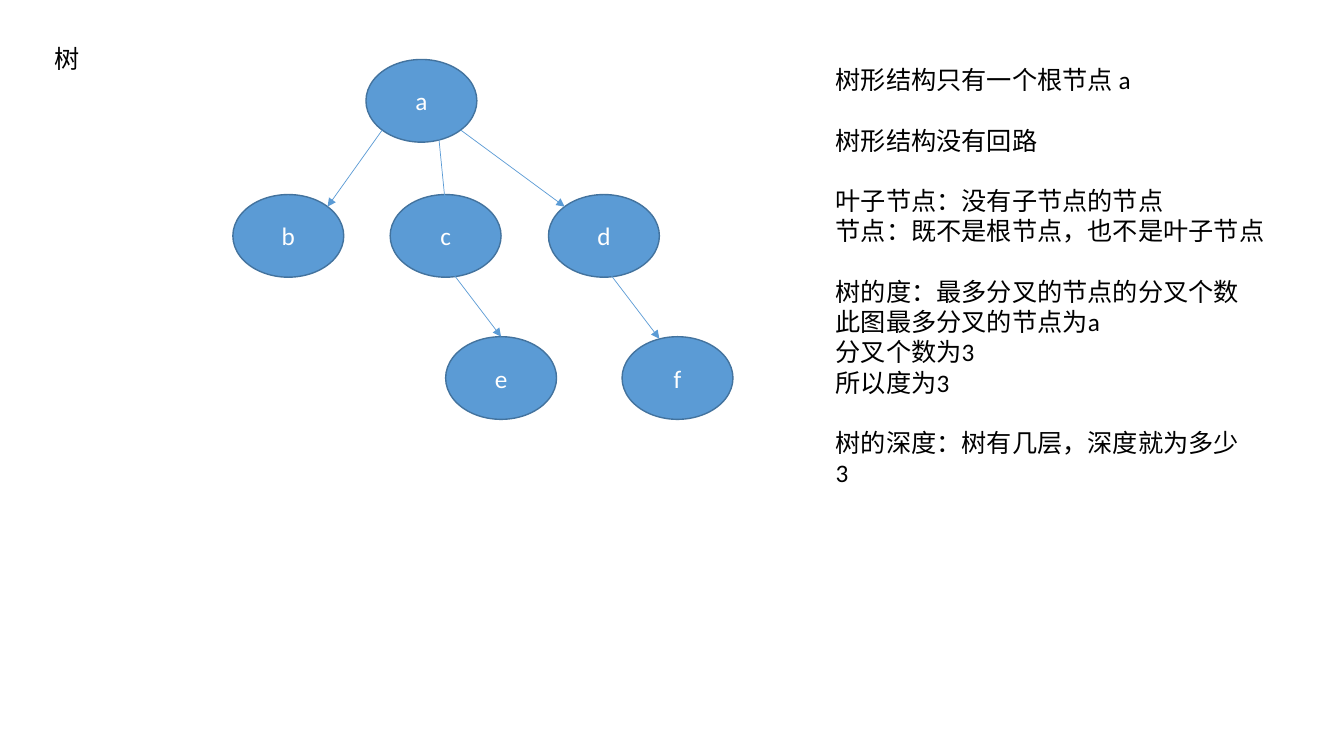
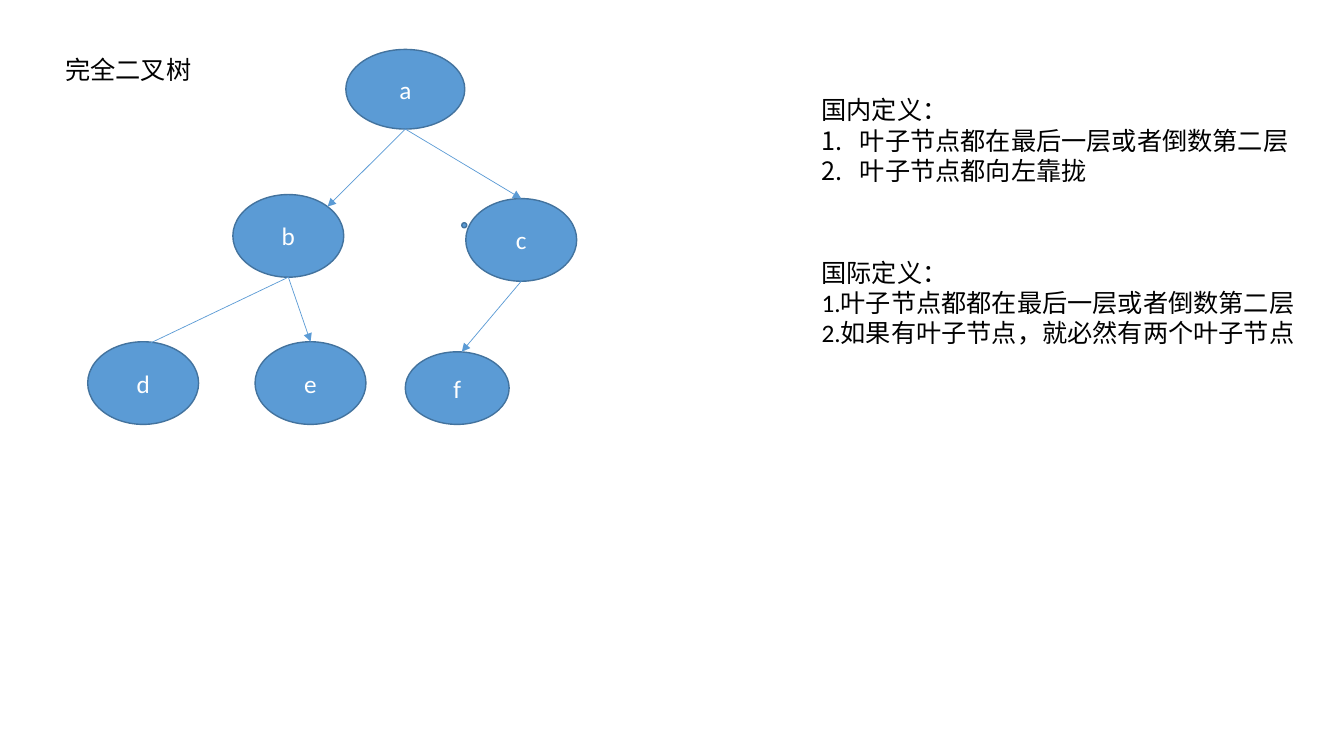
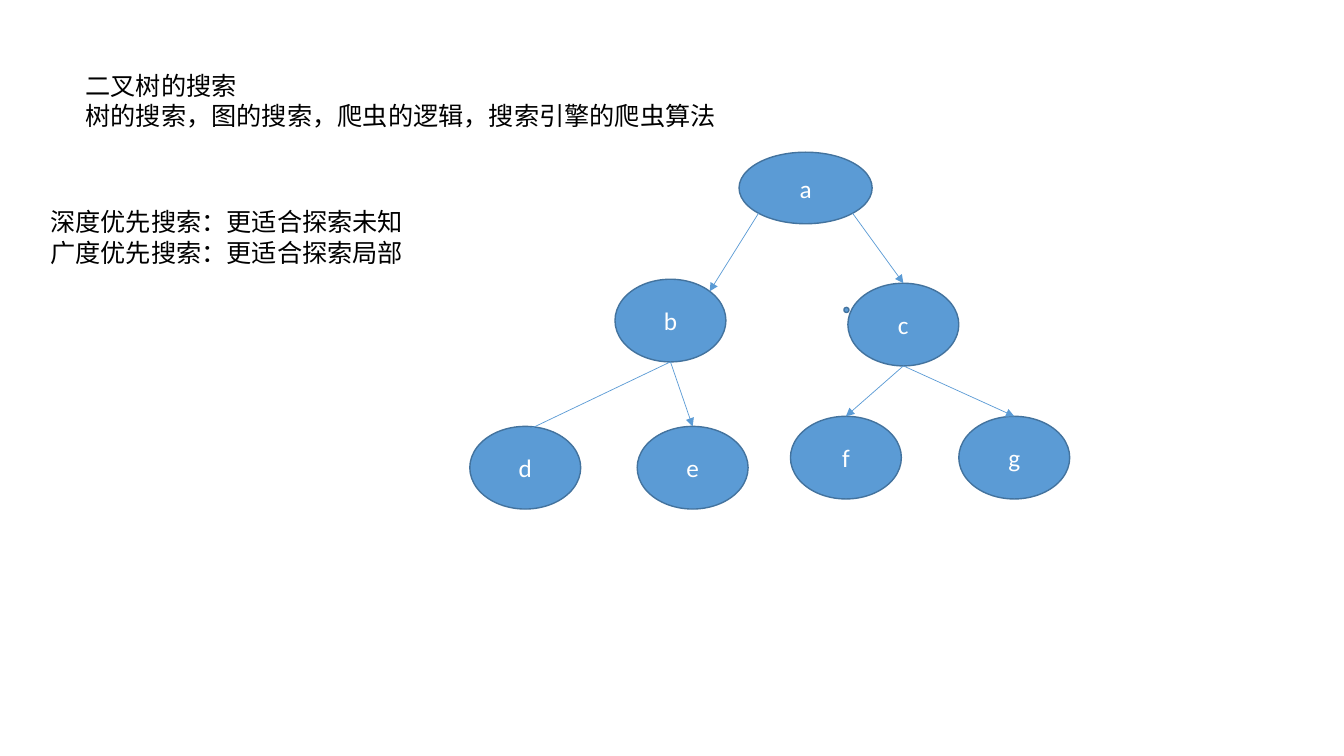
from math import cos, pi, sin

from pptx import Presentation, util as u
from pptx.dml.color import RGBColor
from pptx.enum import lang, shapes, text
from pptx.oxml.ns import qn
from lxml import etree

BLUE, EDGE, WHITE, BLACK = "5B9BD5", "43739E", "FFFFFF", "000000"
WIDE, HIGH, DOT = 1.1, 0.82, 0.05
TOP, LEFT, BASE, RIGHT, LIFT = 0, 3, 4, 5, 7
UPLEFT = 1
GAP = 21.6


def paint(part, tone):
    if hasattr(part, "solid"):
        part.solid()
        part.fore_color.rgb = RGBColor.from_string(tone)
    else:
        part.rgb = RGBColor.from_string(tone)


def write(para, words, tone):
    run = para.add_run()
    run.text = words
    run.font.size = u.Pt(18)
    run.font.name = "Calibri"
    run.font.language_id = lang.MSO_LANGUAGE_ID.SIMPLIFIED_CHINESE
    paint(run.font.color, tone)


# Edges join numbered rim points, counted in eighths from the top, or free points.
pages = [
    {
        "nodes": {"a": (3.63, 0.59), "b": (2.31, 1.93), "c": (3.87, 1.93),
                  "d": (5.44, 1.93), "e": (4.42, 3.34), "f": (6.17, 3.34)},
        "edges": [(("a", LEFT), ("b", LIFT)),
                  ((4.34, 1.24), (4.42, 2.05)),
                  (("a", RIGHT), ("d", UPLEFT)),
                  ((4.49, 2.71), ("e", TOP)),
                  ((6.06, 2.73), (6.54, 3.36))],
        "dots": [],
        "notes": [
            ((0.44, 0.38, 0.45, 0.4), False, [("树", "")]),
            ((8.19, 0.59, 4.49, 4.34), False, [
                ("树形结构只有一个根节点 a", ""),
                ("树形结构没有回路", "gap"),
                ("叶子节点：没有子节点的节点", "gap"),
                ("节点：既不是根节点，也不是叶子节点", ""),
                ("树的度：最多分叉的节点的分叉个数", "gap"),
                ("此图最多分叉的节点为a", ""),
                ("分叉个数为3", ""),
                ("所以度为3", ""),
                ("树的深度：树有几层，深度就为多少", "gap"),
                ("3", "")]),
        ],
    },
    {
        "nodes": {"a": (3.43, 0.49, 1.18, 0.79), "b": (2.31, 1.93),
                  "c": (4.62, 1.97), "d": (0.87, 3.39), "e": (2.53, 3.39),
                  "f": (4.02, 3.49, 1.03, 0.72)},
        "edges": [(("a", BASE), ("b", LIFT)),
                  (("a", BASE), ("c", TOP)),
                  (("b", BASE), (1.31, 3.49)),
                  (("b", BASE), ("e", TOP)),
                  (("c", BASE), (4.58, 3.49))],
        "dots": [(4.58, 2.21)],
        "notes": [
            ((0.55, 0.49, 1.46, 0.4), False, [("完全二叉树", "")]),
            ((8.05, 0.89, 4.87, 1.01), False, [
                ("国内定义：", ""),
                ("叶子节点都在最后一层或者倒数第二层", "list"),
                ("叶子节点都向左靠拢", "list")]),
            ((8.05, 2.5, 4.94, 1.01), True, [
                ("国际定义：", ""),
                ("1.叶子节点都都在最后一层或者倒数第二层", ""),
                ("2.如果有叶子节点，就必然有两个叶子节点", "")]),
        ],
    },
    {
        "nodes": {"a": (7.33, 1.51, 1.32, 0.71), "b": (6.1, 2.77),
                  "c": (8.41, 2.81), "d": (4.66, 4.23), "e": (6.32, 4.23),
                  "f": (7.84, 4.13), "g": (9.51, 4.13)},
        "edges": [(("a", LEFT), ("b", LIFT)),
                  (("a", RIGHT), ("c", TOP)),
                  (("b", BASE), (5.1, 4.33)),
                  (("b", BASE), ("e", TOP)),
                  (("c", BASE), ("f", TOP)),
                  (("c", BASE), ("g", TOP))],
        "dots": [(8.37, 3.05)],
        "notes": [
            ((0.75, 0.65, 6.51, 0.71), False, [
                ("二叉树的搜索", ""),
                ("树的搜索，图的搜索，爬虫的逻辑，搜索引擎的爬虫算法", "")]),
            ((0.4, 2, 3.74, 0.71), False, [
                ("深度优先搜索：更适合探索未知", ""),
                ("广度优先搜索：更适合探索局部", "")]),
        ],
    },
]

deck = Presentation()
deck.slide_width, deck.slide_height = u.Inches(13.33), u.Inches(7.5)

for page in pages:
    slide = deck.slides.add_slide(deck.slide_layouts[6])

    boxes = {name: (*box, WIDE, HIGH)[:4] if len(box) == 2 else box
             for name, box in page["nodes"].items()}
    ovals = list(boxes.items()) + [("", (*dot, DOT, DOT)) for dot in page["dots"]]
    for name, box in ovals:
        oval = slide.shapes.add_shape(shapes.MSO_SHAPE.OVAL, *map(u.Inches, box))
        oval.shadow.inherit = False
        paint(oval.fill, BLUE)
        paint(oval.line.fill, EDGE)
        oval.line.width = u.Pt(1)
        if name:
            frame = oval.text_frame
            frame.vertical_anchor = text.MSO_ANCHOR.MIDDLE
            frame.paragraphs[0].alignment = text.PP_ALIGN.CENTER
            write(frame.paragraphs[0], name, WHITE)

    for edge in page["edges"]:
        ends = []
        for end in edge:
            if end[0] in boxes:
                x, y, w, h = boxes[end[0]]
                turn = end[1] * pi / 4
                end = (x + w / 2 * (1 - sin(turn)), y + h / 2 * (1 - cos(turn)))
            ends += map(u.Inches, end)
        link = slide.shapes.add_connector(shapes.MSO_CONNECTOR.STRAIGHT, *ends)
        paint(link.line.fill, BLUE)
        link.line.width = u.Pt(0.5)
        props = link.element.spPr
        etree.SubElement(props.find(qn("a:ln")), qn("a:tailEnd"), type="triangle")
        etree.SubElement(props, qn("a:effectLst"))

    for box, wrap, lines in page["notes"]:
        frame = slide.shapes.add_textbox(*map(u.Inches, box)).text_frame
        frame.word_wrap = wrap
        frame.auto_size = text.MSO_AUTO_SIZE.SHAPE_TO_FIT_TEXT
        for i, (words, kind) in enumerate(lines):
            para = frame.add_paragraph() if i else frame.paragraphs[0]
            write(para, words, BLACK)
            if kind == "gap":
                para.space_before = u.Pt(GAP)
            elif kind == "list":
                props = para._p.get_or_add_pPr()
                props.set("marL", str(u.Inches(0.38)))
                props.set("indent", str(u.Inches(-0.38)))
                etree.SubElement(props, qn("a:buAutoNum"), type="arabicPeriod")

deck.save("out.pptx")
